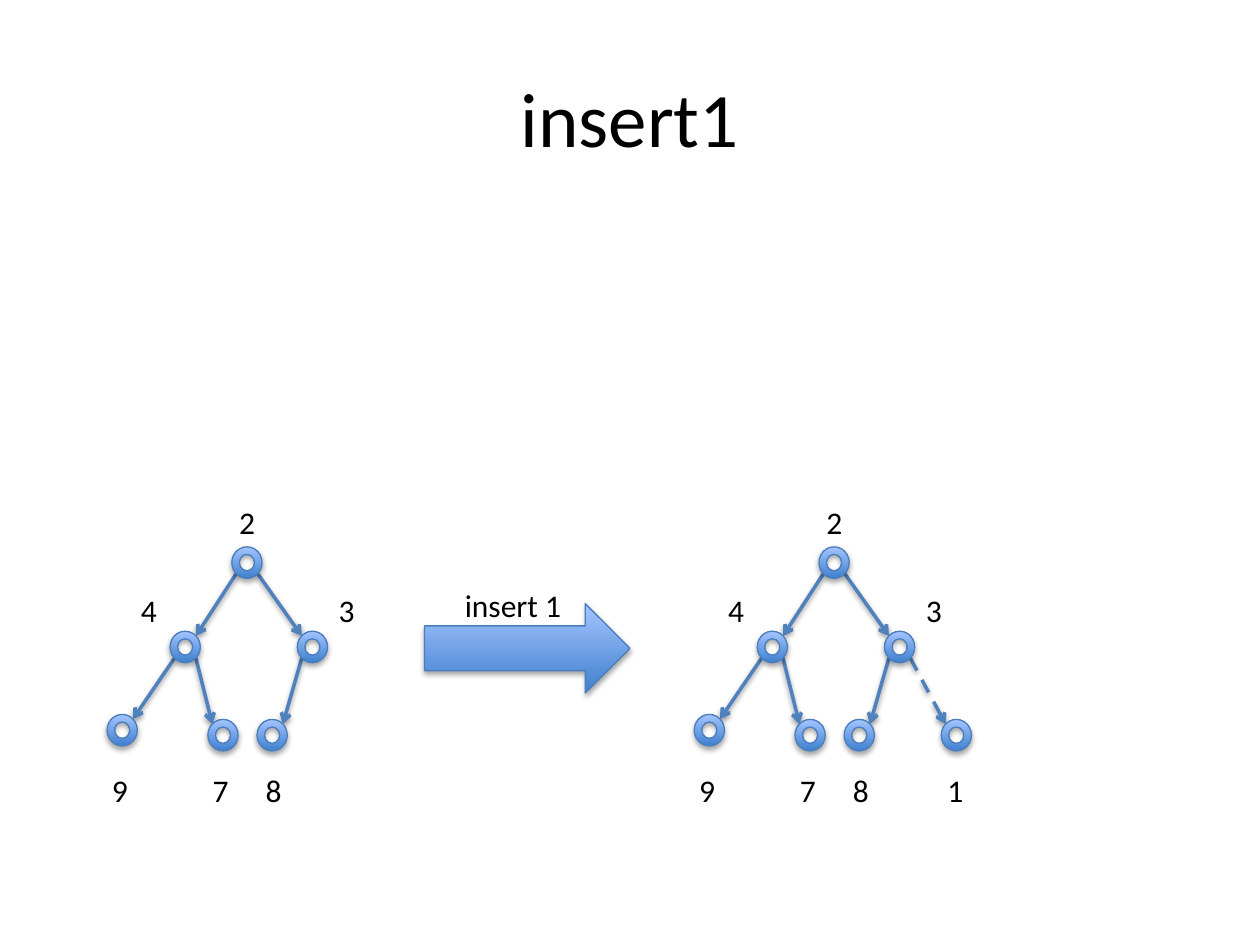
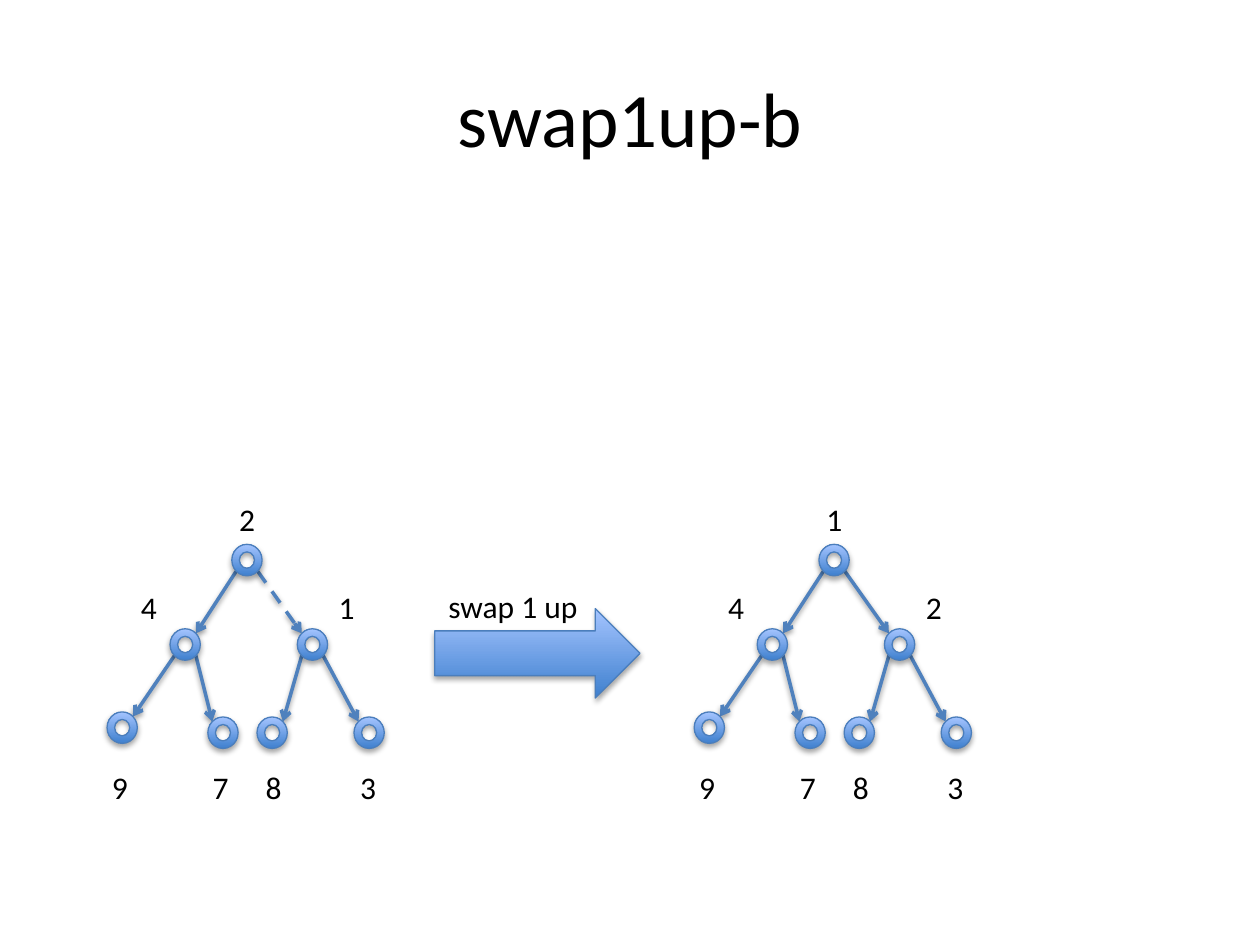
from lxml.etree import SubElement
from pptx import Presentation
from pptx.dml.color import RGBColor
from pptx.enum.dml import MSO_LINE
from pptx.enum.shapes import MSO_CONNECTOR, MSO_SHAPE
from pptx.enum.text import MSO_ANCHOR, MSO_AUTO_SIZE, PP_ALIGN
from pptx.oxml.ns import qn
from pptx.util import Inches, Pt

COLORS = {"text": "000000", "dark": "3F80CE", "light": "A4C4FF",
          "outline": "4B7EBC", "edge": "4F81BD", "shadow": "000000"}
FONT = "Calibri"
NODE_W, NODE_H = 0.24, 0.25
RIM = 0.146

NODES = {
    "root": (0.99, 0), "left": (0.5, 0.67), "right": (1.51, 0.67),
    "left-left": (0, 1.33), "left-right": (0.8, 1.37),
    "right-left": (1.19, 1.37), "right-right": (1.96, 1.37),
}
LABELS = {
    "root": (0.95, -0.4), "left": (0.17, 0.3), "right": (1.74, 0.3),
    "left-left": (-0.06, 1.73), "left-right": (0.74, 1.73),
    "right-left": (1.16, 1.73), "right-right": (1.91, 1.73),
}
EDGES = [
    ("root", "left"), ("root", "right"), ("left", "left-left"),
    ("left", "left-right"), ("right", "right-left"), ("right", "right-right"),
]
TREE_LEFTS = (0.85, 5.51)

SLIDES = [
    {"title": "insert1", "top": 4.34, "arrow": (3.37, 4.79),
     "step": "insert 1", "step_box": (3.59, 4.6, 0.98),
     "trees": [("243978", None), ("2439781", "right-right")]},
    {"title": "swap1up-b", "top": 4.32, "arrow": (3.45, 4.83),
     "step": "swap 1 up", "step_box": (3.46, 4.61, 1.24),
     "trees": [("2419783", "right"), ("1429783", None)]},
]


def rgb(name):
    return RGBColor.from_string(COLORS[name])


def add_run(p, text, size):
    r = p.add_run()
    r.text = text
    r.font.name = FONT
    r.font.size = Pt(size)
    r.font.color.rgb = rgb("text")


def add_shadow(sp, opacity, distance):
    effects = SubElement(sp._element.spPr, qn("a:effectLst"))
    shadow = SubElement(effects, qn("a:outerShdw"), blurRad=str(Pt(3.1)),
                        dist=str(Pt(distance)), dir="5400000", rotWithShape="0")
    color = SubElement(shadow, qn("a:srgbClr"), val=COLORS["shadow"])
    SubElement(color, qn("a:alpha"), val=str(opacity * 1000))


def add_glossy(shapes, kind, x, y, w, h):
    sp = shapes.add_shape(kind, Inches(x), Inches(y), Inches(w), Inches(h))
    sp.fill.gradient()
    sp.fill.gradient_angle = 90
    for stop, name in zip(sp.fill.gradient_stops, ("dark", "light")):
        stop.color.rgb = rgb(name)
    sp.line.color.rgb = rgb("outline")
    sp.line.width = Pt(0.75)
    add_shadow(sp, 35, 1.8)


def add_label(shapes, text, x, y, w=0.33):
    sp = shapes.add_textbox(Inches(x), Inches(y), Inches(w), Inches(0.4))
    tf = sp.text_frame
    tf.word_wrap = False
    tf.auto_size = MSO_AUTO_SIZE.SHAPE_TO_FIT_TEXT
    add_run(tf.paragraphs[0], text, 18)


def rim_point(node, x_part, y_part):
    return Inches(node[0] + NODE_W * x_part), Inches(node[1] + NODE_H * y_part)


def add_edge(shapes, parent, child, dashed):
    side = RIM if child[0] < parent[0] else 1 - RIM
    start = rim_point(parent, side, 1 - RIM)
    end = rim_point(child, 1 - side, RIM)
    edge = shapes.add_connector(MSO_CONNECTOR.STRAIGHT, *start, *end)
    edge.line.color.rgb = rgb("edge")
    edge.line.width = Pt(2)
    if dashed:
        edge.line.dash_style = MSO_LINE.DASH
    SubElement(edge.line._get_or_add_ln(), qn("a:tailEnd"), type="arrow")
    add_shadow(edge, 38, 1.6)


def add_tree(s, left, top, values, dashed_child):
    shapes = s.shapes.add_group_shape().shapes
    nodes = {name: (left + x, top + y)
             for (name, (x, y)), _ in zip(NODES.items(), values)}
    for parent, child in EDGES:
        if child in nodes:
            add_edge(shapes, nodes[parent], nodes[child], child == dashed_child)
    for (name, (x, y)), value in zip(nodes.items(), values):
        add_glossy(shapes, MSO_SHAPE.DONUT, x, y, NODE_W, NODE_H)
        dx, dy = LABELS[name]
        add_label(shapes, value, left + dx, top + dy)


def add_title(s, text):
    sp = s.shapes.title
    sp.left, sp.top, sp.width, sp.height = map(Inches, (0.5, 0.3, 9, 1.25))
    tf = sp.text_frame
    tf.vertical_anchor = MSO_ANCHOR.MIDDLE
    p = tf.paragraphs[0]
    p.alignment = PP_ALIGN.CENTER
    add_run(p, text, 44)


def main():
    prs = Presentation()
    prs.slide_width, prs.slide_height = Inches(10), Inches(7.5)
    for content in SLIDES:
        s = prs.slides.add_slide(prs.slide_layouts[5])
        add_title(s, content["title"])
        add_glossy(s.shapes, MSO_SHAPE.RIGHT_ARROW, *content["arrow"], 1.63, 0.71)
        add_label(s.shapes, content["step"], *content["step_box"])
        for left, (values, dashed_child) in zip(TREE_LEFTS, content["trees"]):
            add_tree(s, left, content["top"], values, dashed_child)
    prs.save("out.pptx")


if __name__ == "__main__":
    main()
